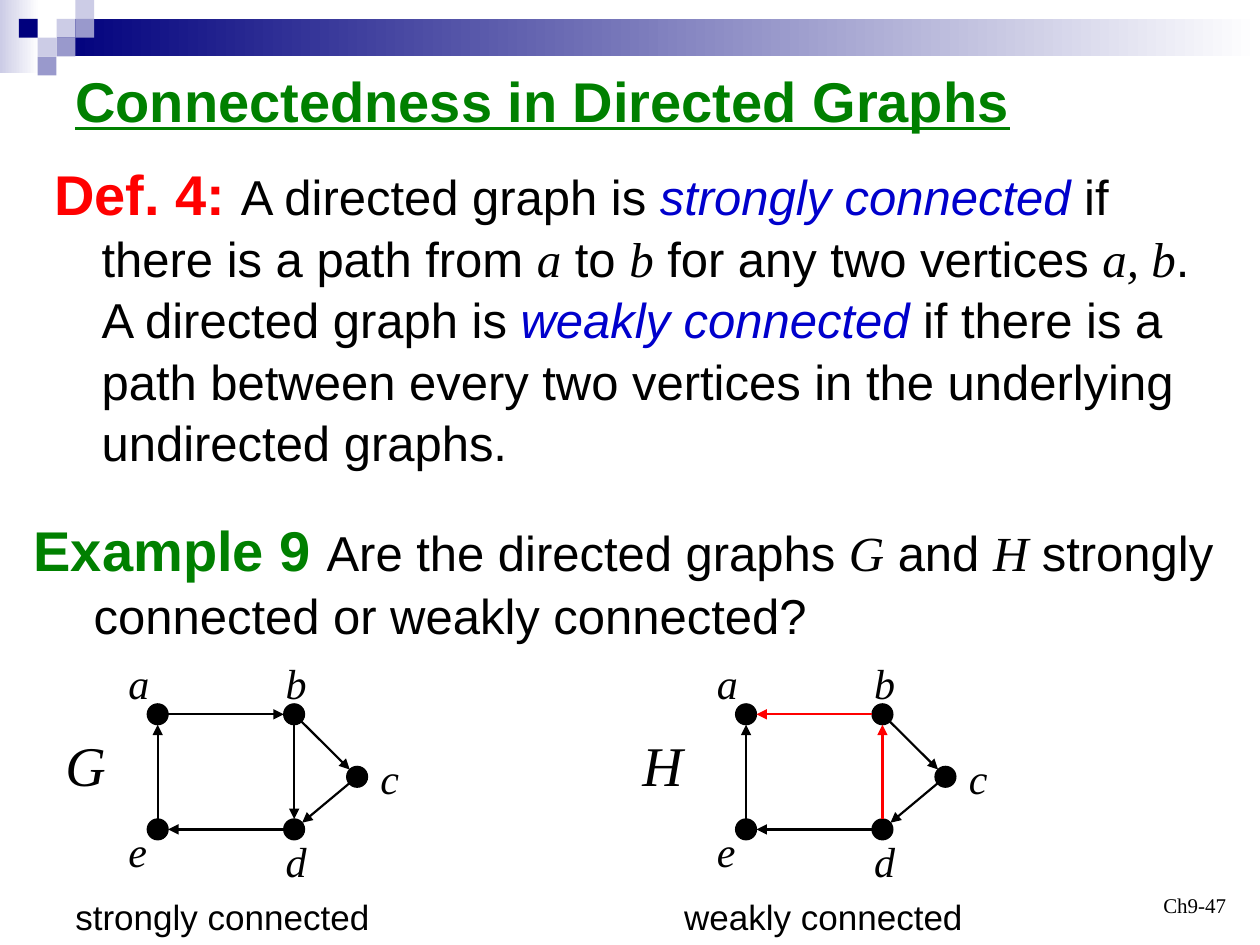
import math

import pptx
import pptx.dml.color
import pptx.enum.shapes
import pptx.enum.text
import pptx.oxml.ns
import pptx.util
from lxml import etree

Cm = pptx.util.Cm
Pt = pptx.util.Pt
SHAPE = pptx.enum.shapes.MSO_SHAPE
ALIGN = pptx.enum.text.PP_ALIGN
ANCHOR = pptx.enum.text.MSO_ANCHOR

BLACK, WHITE, RED, GREEN, BLUE = "000000", "FFFFFF", "FF0000", "008000", "0000CC"
NAVY, MIDDLE, PALE = "00007D", "9999CC", "CCCCE6"

BODY = {"name": "Arial", "size": Pt(28), "color": BLACK}
MATH = {**BODY, "name": "Times New Roman", "italic": True}
TERM = {**BODY, "color": BLUE, "italic": True}
LEAD = {**BODY, "size": Pt(32), "bold": True}
TITLE = {**LEAD, "color": GREEN, "underline": True}
VERTEX_NAME = {**MATH, "size": Pt(24)}
GRAPH_NAME = {**MATH, "size": Pt(32)}
CAPTION = {**BODY, "size": Pt(20)}
PAGE_NUMBER = {**MATH, "size": Pt(12), "italic": False}


def color(value):
    return pptx.dml.color.RGBColor.from_string(value)


class SlideBuilder:
    radius = 0.21
    edge_width = Pt(1.25)
    vertex_line = Pt(0.75)

    def __init__(self, slide):
        self.slide = slide

    def shape(self, kind, left, top, width, height, fill):
        """Add a shape with a plain fill, or a left-to-right gradient for a pair of colours."""
        shape = self.slide.shapes.add_shape(kind, Cm(left), Cm(top), Cm(width), Cm(height))
        shape.shadow.inherit = False
        shape.line.fill.background()
        if isinstance(fill, tuple):
            shape.fill.gradient()
            shape.fill.gradient_angle = 0
            for stop, value in zip(shape.fill.gradient_stops, fill):
                stop.color.rgb = color(value)
        else:
            shape.fill.solid()
            shape.fill.fore_color.rgb = color(fill)
        return shape

    def vertex(self, x, y):
        size = 2 * self.radius
        shape = self.shape(SHAPE.OVAL, x - self.radius, y - self.radius, size, size, BLACK)
        shape.line.color.rgb = color(BLACK)
        shape.line.width = self.vertex_line

    def edge(self, start, end, line_color):
        """Add an arrow between the rims of two vertices given by their centres."""
        share = self.radius / math.dist(start, end)
        dx, dy = ((b - a) * share for a, b in zip(start, end))
        connector = self.slide.shapes.add_connector(
            pptx.enum.shapes.MSO_CONNECTOR.STRAIGHT,
            Cm(start[0] + dx), Cm(start[1] + dy), Cm(end[0] - dx), Cm(end[1] - dy))
        connector.line.color.rgb = color(line_color)
        connector.line.width = self.edge_width
        qn = pptx.oxml.ns.qn
        properties = connector.line._get_or_add_ln()
        etree.SubElement(properties, qn("a:tailEnd"), type="triangle", w="med", len="med")
        etree.SubElement(connector._element.spPr, qn("a:effectLst"))

    def text(self, left, top, width, height, runs, wrap=True, hanging=0,
             anchor=ANCHOR.TOP, **paragraph_format):
        """Add one paragraph of (text, style) runs; a newline is a line break."""
        box = self.slide.shapes.add_textbox(Cm(left), Cm(top), Cm(width), Cm(height))
        frame = box.text_frame
        frame.word_wrap = wrap
        frame.vertical_anchor = anchor
        paragraph = frame.paragraphs[0]
        for name, value in paragraph_format.items():
            setattr(paragraph, name, value)
        if hanging:
            properties = paragraph._p.get_or_add_pPr()
            properties.set("marL", str(Cm(hanging)))
            properties.set("indent", str(-Cm(hanging)))
        for content, style in runs:
            for index, line in enumerate(content.split("\n")):
                if index:
                    paragraph.add_line_break()
                run = paragraph.add_run()
                run.text = line
                for name, value in style.items():
                    if name == "color":
                        run.font.color.rgb = color(value)
                    else:
                        setattr(run.font, name, value)

    def header(self):
        step = 0.38
        self.shape(SHAPE.RECTANGLE, 0, 0, 0.79, 1.47, (PALE, WHITE))
        self.shape(SHAPE.RECTANGLE, 3 * step, step, 24.26, 0.76, (NAVY, WHITE))
        tiles = [(3, 1, PALE), (4, 0, PALE), (4, 1, MIDDLE), (2, 2, PALE),
                 (1, 1, NAVY), (3, 2, MIDDLE), (2, 3, MIDDLE)]
        for column, row, fill in tiles:
            self.shape(SHAPE.RECTANGLE, column * step, row * step, step, step, fill)

    def graph(self, offset, name, name_left, edges, red_edges=()):
        vertices = {"a": (3.18, 14.4), "b": (5.93, 14.4), "c": (7.2, 15.66),
                    "d": (5.93, 16.72), "e": (3.18, 16.72)}
        labels = {"a": (2.34, 13.13), "b": (5.51, 13.13), "c": (7.42, 15.04),
                  "d": (5.51, 16.72), "e": (2.34, 16.51)}
        centres = {key: (x + offset, y) for key, (x, y) in vertices.items()}
        for centre in centres.values():
            self.vertex(*centre)
        for edge in edges:
            start, end = edge
            self.edge(centres[start], centres[end], RED if edge in red_edges else BLACK)
        for label, (x, y) in labels.items():
            self.text(x + offset, y, 0.9, 1.27, [(label, VERTEX_NAME)], wrap=False)
        self.text(name_left, 14.61, 1.32, 1.63, [(name, GRAPH_NAME)], wrap=False)


def main():
    presentation = pptx.Presentation()
    presentation.slide_width = Cm(25.4)
    presentation.slide_height = Cm(19.05)
    builder = SlideBuilder(presentation.slides.add_slide(presentation.slide_layouts[6]))

    builder.header()
    builder.text(1.27, 0.84, 22.86, 2.34, [("Connectedness in Directed Graphs", TITLE)],
                 anchor=ANCHOR.MIDDLE)
    builder.text(0.84, 3.03, 23.93, 6.35, [
        ("Def. 4: ", {**LEAD, "color": RED}),
        ("A directed graph is ", BODY),
        ("strongly connected", TERM),
        (" if there is a path from ", BODY),
        ("a", MATH),
        (" to ", BODY),
        ("b", MATH),
        (" for any two vertices ", BODY),
        ("a, b", MATH),
        (".\nA directed graph is ", BODY),
        ("weakly connected", TERM),
        (" if there is a path between every two vertices in the underlying"
         " undirected graphs.", BODY),
    ], hanging=0.96, line_spacing=1.04)
    builder.text(0.43, 10.22, 24.56, 2.79, [
        ("Example 9 ", {**LEAD, "color": GREEN}),
        ("Are the directed graphs ", BODY),
        ("G", MATH),
        (" and ", BODY),
        ("H", MATH),
        (" strongly\nconnected or weakly connected?", BODY),
    ], hanging=1.21, line_spacing=1.04)

    builder.graph(0, "G", 1.07, ["ea", "de", "cd", "bd", "ab", "bc"])
    builder.graph(11.86, "H", 12.7, ["ea", "de", "cd", "db", "ba", "bc"],
                  red_edges=["db", "ba"])
    for left, caption in [(1.27, "strongly connected"), (13.54, "weakly connected")]:
        builder.text(left, 17.93, 6.55, 1.12, [(caption, CAPTION)])
    builder.text(19.05, 17.35, 5.92, 1.27, [("Ch9-47", PAGE_NUMBER)],
                 anchor=ANCHOR.BOTTOM, alignment=ALIGN.RIGHT)

    presentation.save("out.pptx")


if __name__ == "__main__":
    main()
